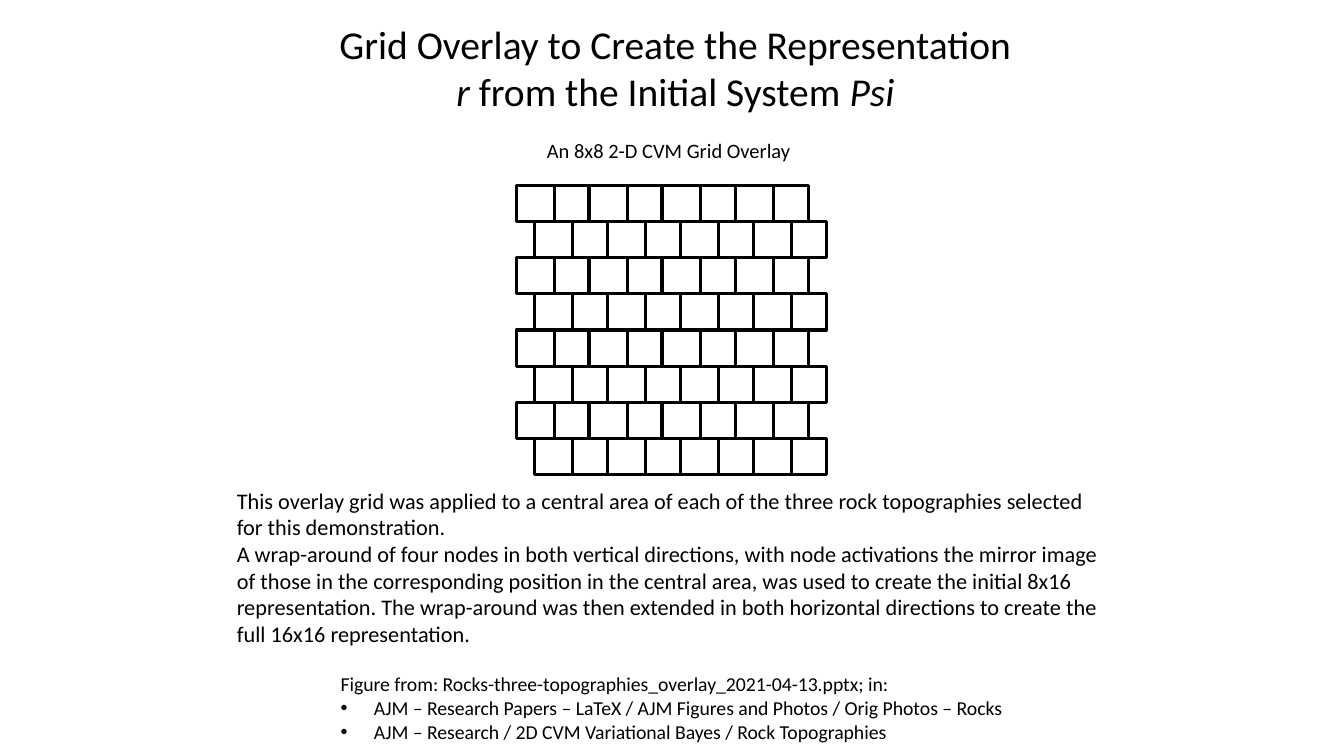
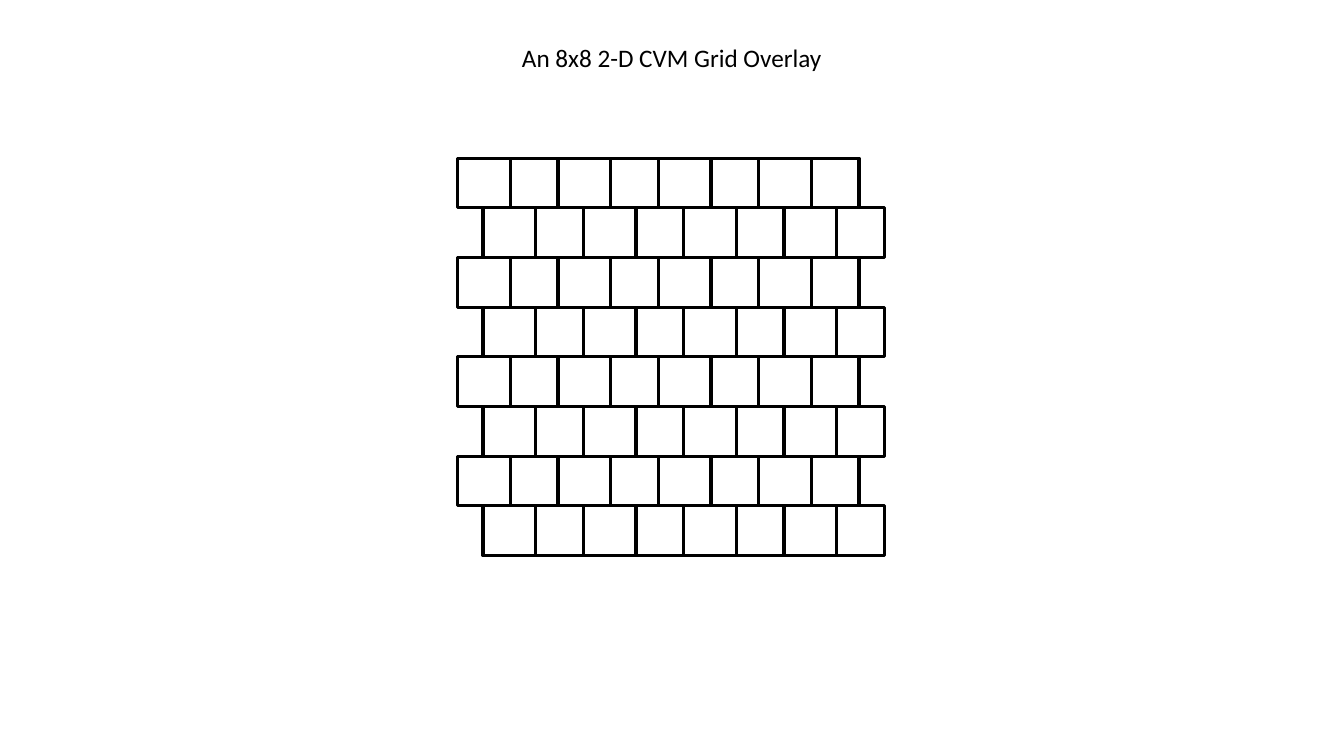
import lxml.etree
import pptx
import pptx.dml.color
import pptx.enum.shapes
import pptx.enum.text
import pptx.oxml.ns
import pptx.util

BLACK = pptx.dml.color.RGBColor(0x00, 0x00, 0x00)
FONT = "Calibri"
LEFT = pptx.enum.text.PP_ALIGN.LEFT
CENTER = pptx.enum.text.PP_ALIGN.CENTER

CAPTION = "An 8x8 2-D CVM Grid Overlay"
TITLE_RUNS = [
    ("Grid Overlay to Create the Representation ", False),
    ("r", True),
    (" from the Initial System ", False),
    ("Psi", True),
]
EXPLANATION = [
    "This overlay grid was applied to a central area of each of the three rock "
    "topographies selected for this demonstration.",
    "A wrap-around of four nodes in both vertical directions, with node activations "
    "the mirror image of those in the corresponding position in the central area, was "
    "used to create the initial 8x16 representation. The wrap-around was then extended "
    "in both horizontal directions to create the full 16x16 representation.",
]
FIGURE_SOURCE = [
    "Figure from: Rocks-three-topographies_overlay_2021-04-13.pptx; in:",
    "AJM – Research Papers – LaTeX / AJM Figures and Photos / Orig Photos – Rocks",
    "AJM – Research / 2D CVM Variational Bayes / Rock Topographies",
]


class Deck:
    """Style and current slide; lengths are percentages of the slide's size."""

    CELLS = 8
    # Cell widths and the shift of odd rows, as multiples of the row height
    WIDE, NARROW, SHIFT = 1.06, 0.96, 0.51
    LINE_WIDTH = pptx.util.Pt(2.25)
    BULLET_INDENT = pptx.util.Inches(0.33)

    def __init__(self):
        self.presentation = pptx.Presentation()
        self.presentation.slide_width = pptx.util.Inches(13.33)
        self.presentation.slide_height = pptx.util.Inches(7.5)
        self.slide = None

    def new_slide(self):
        self.slide = self.presentation.slides.add_slide(self.presentation.slide_layouts[6])

    def across(self, share):
        return round(self.presentation.slide_width * share / 100)

    def down(self, share):
        return round(self.presentation.slide_height * share / 100)

    def text(self, box, paragraphs, size, align=LEFT, wrap=True):
        left, top, width, height = box
        shape = self.slide.shapes.add_textbox(
            self.across(left), self.down(top), self.across(width), self.down(height))
        frame = shape.text_frame
        frame.text = "\n".join(paragraphs)
        frame.word_wrap = wrap
        for paragraph in frame.paragraphs:
            paragraph.alignment = align
            for run in paragraph.runs:
                self.style(run, size)
        return frame

    def style(self, run, size, italic=False):
        run.font.name = FONT
        run.font.size = pptx.util.Pt(size)
        run.font.color.rgb = BLACK
        run.font.italic = italic

    def title(self, box, runs, size):
        paragraph = self.text(box, [], size, CENTER).paragraphs[0]
        for words, italic in runs:
            run = paragraph.add_run()
            run.text = words
            self.style(run, size, italic)

    def bullet(self, paragraph):
        properties = paragraph._p.get_or_add_pPr()
        properties.set("marL", str(self.BULLET_INDENT))
        properties.set("indent", str(-self.BULLET_INDENT))
        for tag, name, value in (("a:buFont", "typeface", "Arial"), ("a:buChar", "char", "•")):
            element = lxml.etree.SubElement(properties, pptx.oxml.ns.qn(tag))
            element.set(name, value)

    def overlay(self, left, top, row_height):
        """Draw the brick-like grid of alternating wide and narrow cells."""
        group = self.slide.shapes.add_group_shape()
        height = self.down(row_height)
        for row in range(self.CELLS):
            x = self.across(left) + row % 2 * round(self.SHIFT * height)
            for column in range(self.CELLS):
                width = round((self.NARROW if column % 2 else self.WIDE) * height)
                cell = group.shapes.add_shape(
                    pptx.enum.shapes.MSO_SHAPE.RECTANGLE,
                    x, self.down(top) + row * height, width, height)
                cell.shadow.inherit = False
                cell.fill.background()
                cell.line.color.rgb = BLACK
                cell.line.width = self.LINE_WIDTH
                x += width


def main():
    deck = Deck()

    deck.new_slide()
    deck.overlay(38.4, 24.53, 4.78)
    deck.text((39.9, 17.6, 19.73, 4.67), [CAPTION], 14.6, CENTER, wrap=False)
    deck.title((23.93, 2, 52.65, 14), TITLE_RUNS, 28.2)
    source = deck.text((24.6, 88.27, 51.53, 10.8), FIGURE_SOURCE, 14.1, wrap=False)
    for paragraph in source.paragraphs[1:]:
        deck.bullet(paragraph)
    deck.text((16.88, 63.73, 66.15, 22.67), EXPLANATION, 15.9)

    deck.new_slide()
    deck.overlay(34.05, 20.93, 6.57)
    deck.text((37.95, 4.93, 24.08, 5.33), [CAPTION], 18, CENTER, wrap=False)

    deck.presentation.save("out.pptx")


if __name__ == "__main__":
    main()
